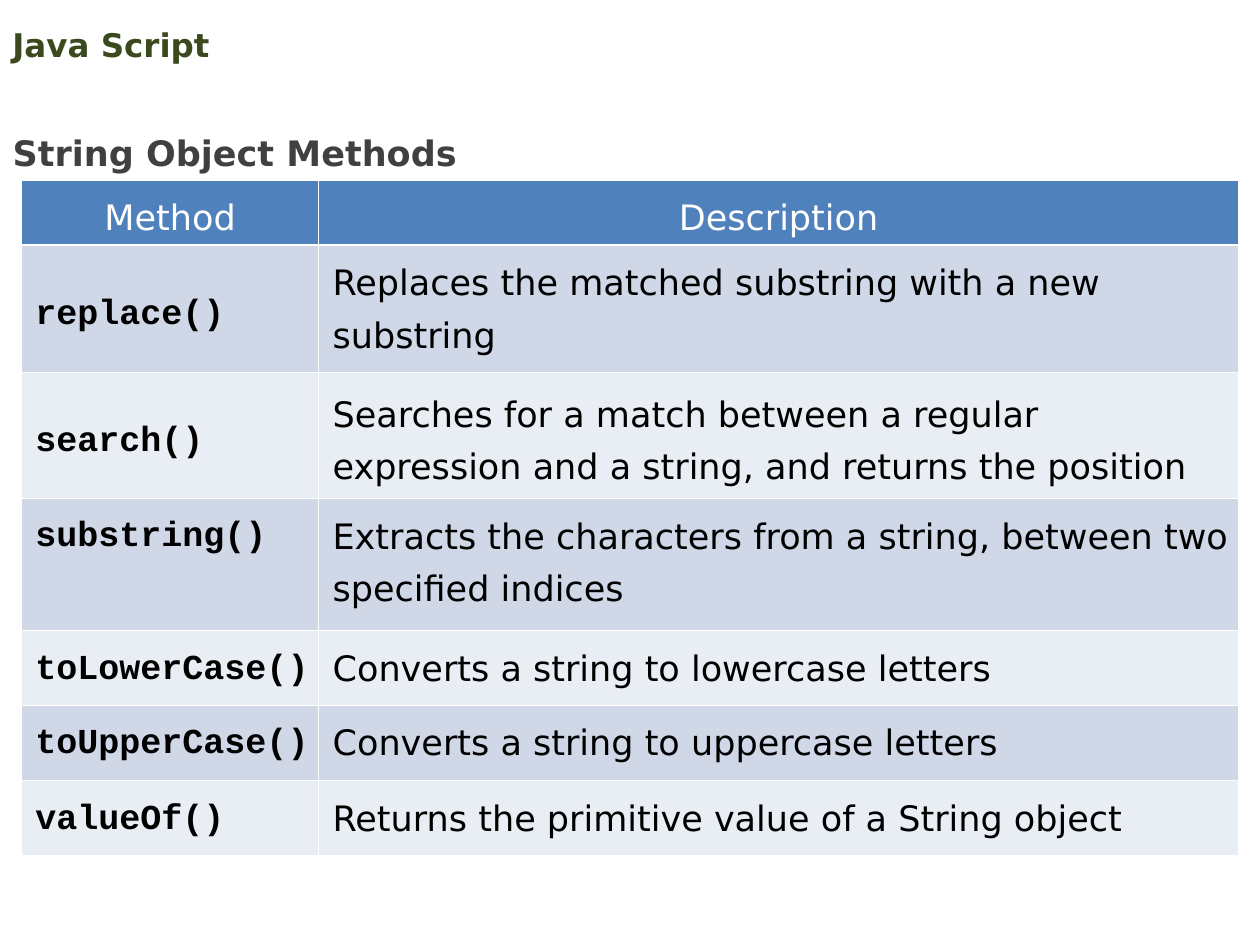
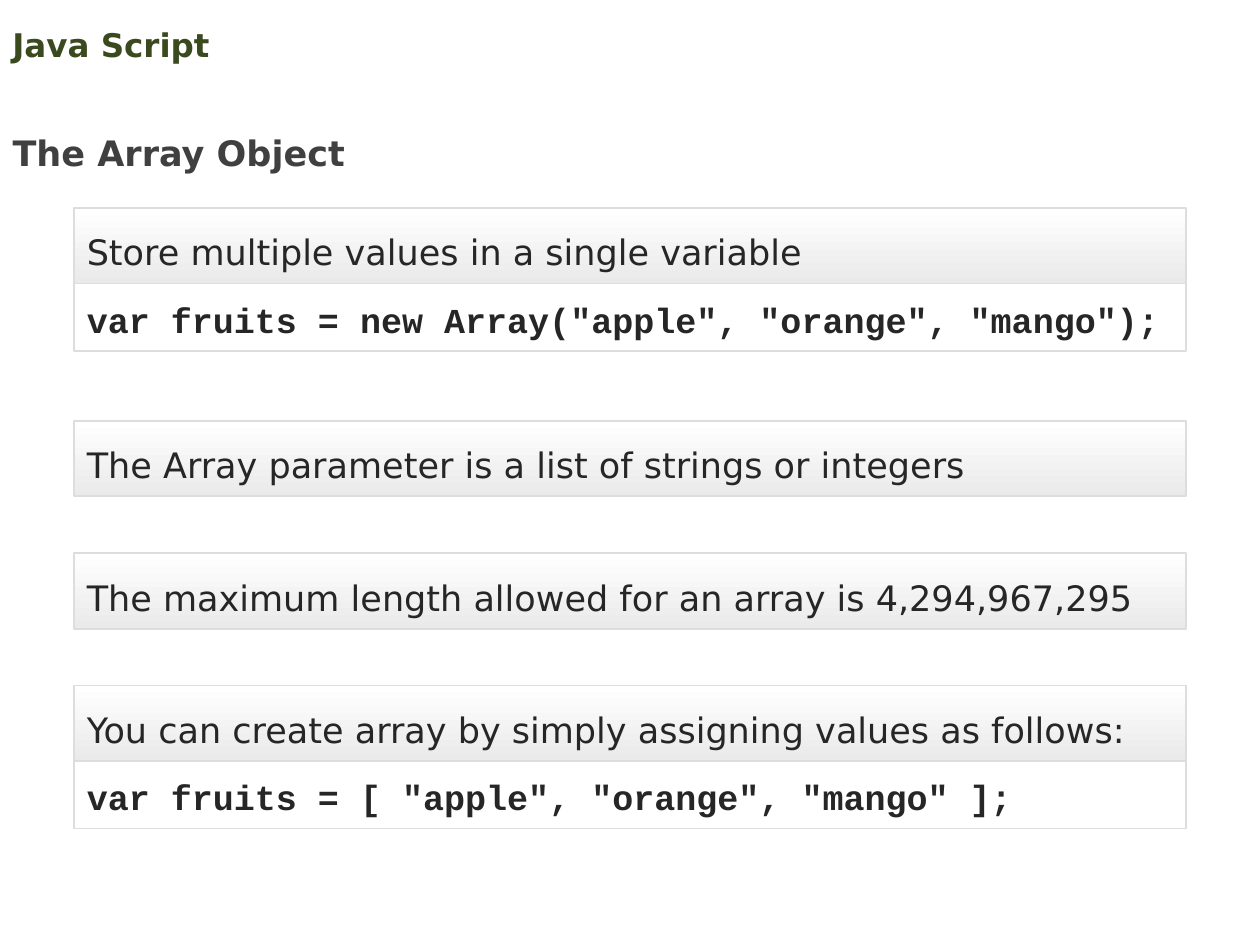
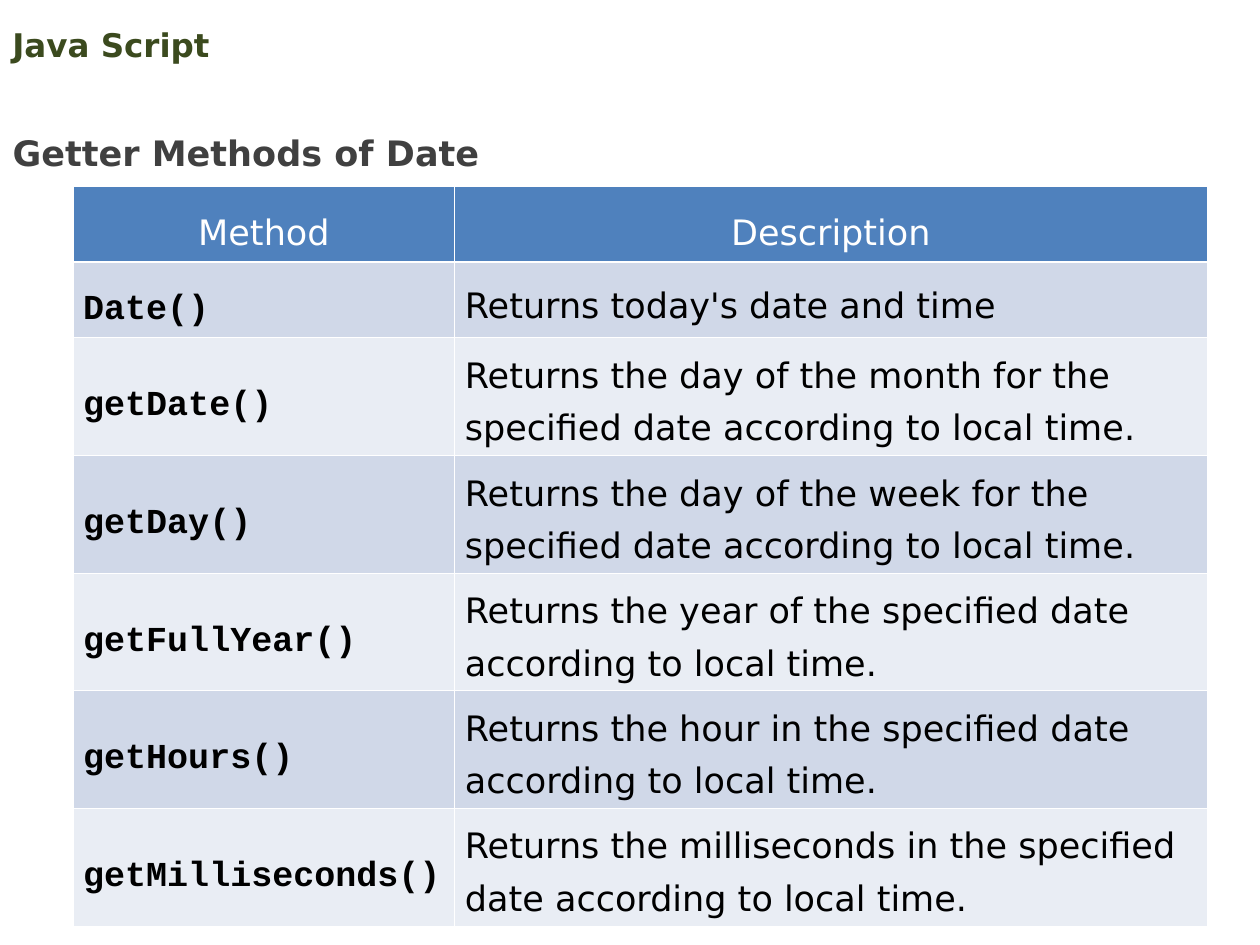
from dataclasses import dataclass

from lxml.etree import SubElement
from pptx import Presentation
from pptx.dml.color import RGBColor
from pptx.enum.shapes import MSO_SHAPE
from pptx.enum.text import MSO_ANCHOR, PP_ALIGN
from pptx.oxml.ns import qn
from pptx.util import Emu, Inches, Pt

SLIDE_WIDTH, SLIDE_HEIGHT = Inches(10), Inches(7.5)
COLUMN, ROW = SLIDE_WIDTH / 100, SLIDE_HEIGHT / 75
TOP, MIDDLE = MSO_ANCHOR.TOP, MSO_ANCHOR.MIDDLE


@dataclass(frozen=True)
class Theme:
    sans: str = "DejaVu Sans"
    mono: str = "Courier New"
    course_size: float = 18.6
    text_size: float = 20
    fixed_spacing: int = Pt(30)
    loose_spacing: float = 1.5
    course: str = "3B4A1E"
    heading: str = "404040"
    note: str = "262626"
    note_line: str = "DDDDDD"
    note_top: str = "FFFFFF"
    note_bottom: str = "EAEAEA"
    header_fill: str = "4F81BD"
    band_fills: tuple = ("D0D8E8", "E9EDF4")
    white: str = "FFFFFF"
    black: str = "000000"
    thin: float = 0.45
    thick: float = 1.47


THEME = Theme()


@dataclass(frozen=True)
class Box:
    left: float
    top: float
    width: float
    height: float

    def place(self):
        return (Emu(int(self.left * COLUMN)), Emu(int(self.top * ROW)),
                Emu(int(self.width * COLUMN)), Emu(int(self.height * ROW)))


@dataclass(frozen=True)
class MethodTable:
    columns: tuple
    row_heights: tuple
    side_margin: float
    body_indent: float
    header_anchor: MSO_ANCHOR
    method_spacing: float
    anchors: tuple
    methods: tuple


COURSE_BOX = Box(0, 1.4, 90, 4.3)
NOTES_BOX = Box(5.9, 16.5, 88.2, 49.3)
NOTE_HEIGHT, NOTE_STEP, CODE_OFFSET, CODE_EXTRA = 6, 10.5, 5.35, 6.4

STRING_METHODS = MethodTable(
    columns=(23.6, 73),
    row_heights=(4.4, 10.1, 10, 10.5, 5.9, 6, 5.9),
    side_margin=0.01,
    body_indent=0.1,
    header_anchor=MIDDLE,
    method_spacing=THEME.fixed_spacing,
    anchors=((MIDDLE, TOP), (MIDDLE, MIDDLE)) + ((TOP, TOP),) * 4,
    methods=(
        ("replace()", "Replaces the matched substring with a new substring"),
        ("search()", "Searches for a match between a regular expression and "
                     "a string, and returns the position"),
        ("substring()", "Extracts the characters from a string, between two "
                        "specified indices"),
        ("toLowerCase()", "Converts a string to lowercase letters"),
        ("toUpperCase()", "Converts a string to uppercase letters"),
        ("valueOf()", "Returns the primitive value of a String object"),
    ),
)

DATE_METHODS = MethodTable(
    columns=(30.3, 59.7),
    row_heights=(5, 5) + (8.3,) * 5,
    side_margin=0.08,
    body_indent=0,
    header_anchor=TOP,
    method_spacing=THEME.loose_spacing,
    anchors=((MIDDLE, MIDDLE),) * 6,
    methods=(
        ("Date()", "Returns today's date and time"),
        ("getDate()", "Returns the day of the month for the specified date "
                      "according to local time."),
        ("getDay()", "Returns the day of the week for the specified date "
                     "according to local time."),
        ("getFullYear()", "Returns the year of the specified date according "
                          "to local time."),
        ("getHours()", "Returns the hour in the specified date according to "
                       "local time."),
        ("getMilliseconds()", "Returns the milliseconds in the specified date "
                              "according to local time."),
    ),
)

ARRAY_NOTES = (
    ("Store multiple values in a single variable",
     'var fruits = new Array("apple", "orange", "mango");'),
    ("The Array parameter is a list of strings or integers", None),
    ("The maximum length allowed for an array is 4,294,967,295", None),
    ("You can create array by simply assigning values as follows:",
     'var fruits = [ "apple", "orange", "mango" ];'),
)


def rgb(value):
    return RGBColor.from_string(value)


def write(frame, words, color, face=THEME.sans, size=THEME.text_size,
          bold=False, spacing=1.0, align=PP_ALIGN.LEFT):
    frame.text = words
    paragraph = frame.paragraphs[0]
    paragraph.alignment = align
    paragraph.line_spacing = spacing
    font = paragraph.runs[0].font
    font.name, font.size, font.bold = face, Pt(size), bold
    font.color.rgb = rgb(color)


def add_heading_slide(deck, heading, heading_box):
    slide = deck.slides.add_slide(deck.slide_layouts[5])
    course = slide.shapes.add_textbox(*COURSE_BOX.place()).text_frame
    course.word_wrap = True
    course.vertical_anchor = MIDDLE
    write(course, "Java Script", THEME.course, size=THEME.course_size, bold=True)

    title = slide.shapes.title
    title.left, title.top, title.width, title.height = heading_box.place()
    title.text_frame.vertical_anchor = TOP
    title.text_frame.word_wrap = True
    write(title.text_frame, heading, THEME.heading, bold=True,
          spacing=THEME.loose_spacing)
    return slide


def style_cell(cell, fill, anchor, margin, indent=0, top=THEME.thin,
               bottom=THEME.thin):
    cell.margin_left = Inches(margin + indent)
    cell.margin_right = Inches(margin)
    cell.vertical_anchor = anchor
    properties = cell._tc.get_or_add_tcPr()
    edges = {"lnL": THEME.thin, "lnR": THEME.thin, "lnT": top, "lnB": bottom}
    for edge, weight in edges.items():
        border = SubElement(properties, qn("a:" + edge), w=str(int(Pt(weight))))
        paint = SubElement(border, qn("a:solidFill"))
        SubElement(paint, qn("a:srgbClr"), val=THEME.white)
    cell.fill.solid()
    cell.fill.fore_color.rgb = rgb(fill)


def add_method_table(slide, left, top, content):
    box = Box(left, top, sum(content.columns), sum(content.row_heights))
    table = slide.shapes.add_table(
        len(content.row_heights), len(content.columns), *box.place()).table
    table.horz_banding = False
    for column, width in zip(table.columns, content.columns):
        column.width = Emu(int(width * COLUMN))
    for row, height in zip(table.rows, content.row_heights):
        row.height = Emu(int(height * ROW))

    for cell, label in zip(table.rows[0].cells, ("Method", "Description")):
        style_cell(cell, THEME.header_fill, content.header_anchor,
                   content.side_margin, bottom=THEME.thick)
        write(cell.text_frame, label, THEME.white,
              spacing=content.method_spacing, align=PP_ALIGN.CENTER)

    for index, (words, anchors) in enumerate(zip(content.methods, content.anchors)):
        cells = tuple(table.rows[index + 1].cells)
        for cell, anchor in zip(cells, anchors):
            style_cell(cell, THEME.band_fills[index % 2], anchor,
                       content.side_margin, content.body_indent,
                       top=THEME.thin if index else THEME.thick)
        method, description = words
        write(cells[0].text_frame, method, THEME.black, face=THEME.mono,
              bold=True, spacing=content.method_spacing)
        write(cells[1].text_frame, description, THEME.black,
              spacing=THEME.fixed_spacing)


def add_strip(slide, box, words, is_code):
    strip = slide.shapes.add_shape(MSO_SHAPE.RECTANGLE, *box.place())
    strip.shadow.inherit = False
    strip.line.color.rgb = rgb(THEME.note_line)
    strip.line.width = Pt(1)
    if is_code:
        strip.fill.background()
    else:
        strip.fill.gradient()
        strip.fill.gradient_angle = 270
        shades = (THEME.note_top, THEME.note_bottom)
        for stop, shade in zip(strip.fill.gradient_stops, shades):
            stop.color.rgb = rgb(shade)
    frame = strip.text_frame
    frame.word_wrap = True
    frame.vertical_anchor = TOP
    frame.margin_left = frame.margin_right = Inches(0.1)
    frame.margin_top = frame.margin_bottom = Inches(0.1)
    write(frame, words, THEME.note, face=THEME.mono if is_code else THEME.sans,
          bold=is_code, spacing=THEME.fixed_spacing)


def add_notes(slide, box, notes):
    top = box.top
    for note, code in notes:
        if code:
            add_strip(slide, Box(box.left, top + CODE_OFFSET, box.width, NOTE_HEIGHT),
                      code, True)
        add_strip(slide, Box(box.left, top, box.width, NOTE_HEIGHT), note, False)
        top += NOTE_STEP + (CODE_EXTRA if code else 0)


def main():
    deck = Presentation()
    deck.slide_width, deck.slide_height = SLIDE_WIDTH, SLIDE_HEIGHT

    strings = add_heading_slide(deck, "String Object Methods", Box(0, 8.3, 38.5, 6))
    add_method_table(strings, 1.7, 14.3, STRING_METHODS)

    arrays = add_heading_slide(deck, "The Array Object", Box(0, 8.3, 54.5, 6))
    add_notes(arrays, NOTES_BOX, ARRAY_NOTES)

    dates = add_heading_slide(deck, "Getter Methods of Date", Box(0, 8.3, 54.5, 6))
    add_method_table(dates, 5.8, 14.8, DATE_METHODS)

    deck.save("out.pptx")


if __name__ == "__main__":
    main()
